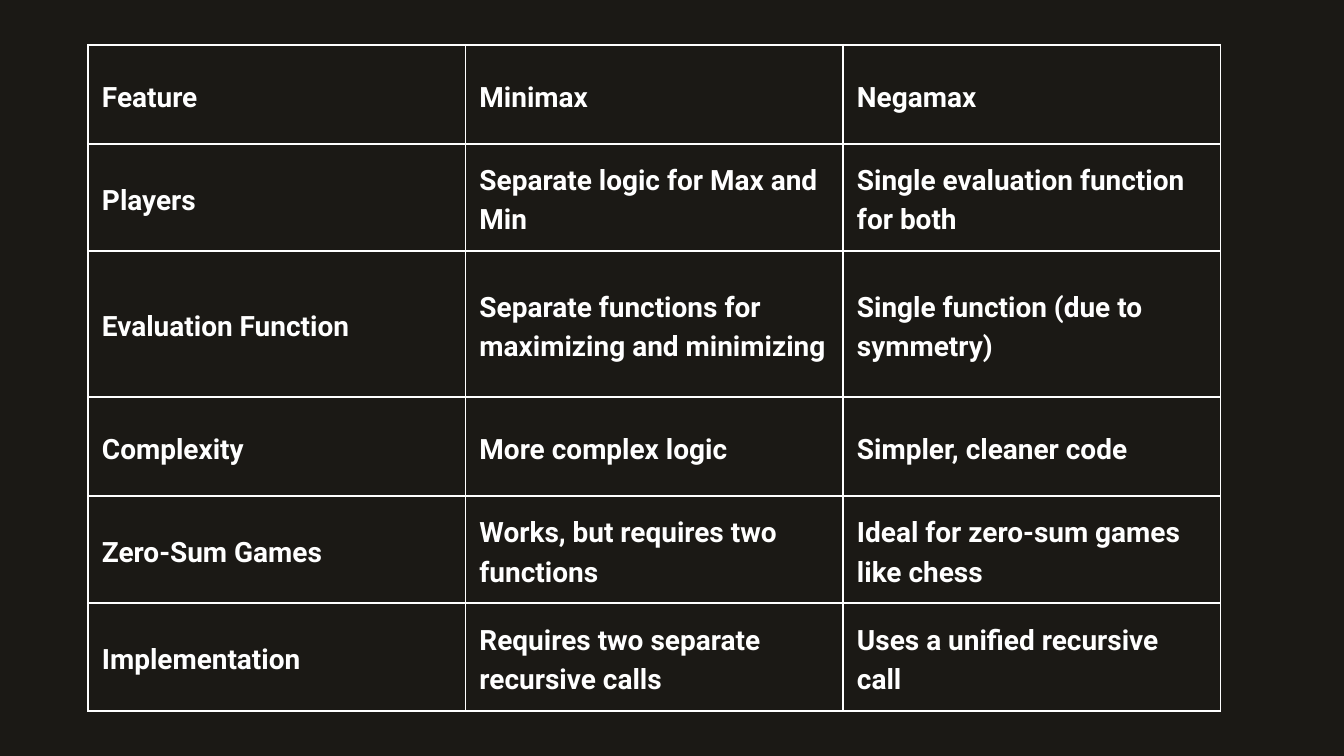
"""Build a slide with a table comparing Minimax and Negamax."""
from dataclasses import dataclass

from lxml.etree import SubElement
from pptx import Presentation
from pptx.dml.color import RGBColor as RGB
from pptx.enum.text import MSO_ANCHOR as Anchor
from pptx.oxml.ns import qn
from pptx.util import Pt

COMPARISON = [
    ("Feature", "Minimax", "Negamax"),
    ("Players", "Separate logic for Max and Min", "Single evaluation function for both"),
    ("Evaluation Function", "Separate functions for maximizing and minimizing",
     "Single function (due to symmetry)"),
    ("Complexity", "More complex logic", "Simpler, cleaner code"),
    ("Zero-Sum Games", "Works, but requires two functions", "Ideal for zero-sum games like chess"),
    ("Implementation", "Requires two separate recursive calls", "Uses a unified recursive call"),
]
ROW_HEIGHTS = [106, 115, 156.5, 106, 115, 115]
COLUMN_WIDTH = 404.5
LEFT, TOP = 94.25, 48


@dataclass(frozen=True)
class Theme:
    """Colours, type and spacing of the slide."""
    background: str = "1B1915"
    foreground: str = "FFFFFF"
    font: str = "Roboto"
    size: float = 30
    leading: float = 42
    inset: float = 15
    border: float = 2.25


THEME = Theme()


def draw_borders(cell):
    """Outline all four sides of a cell."""
    properties = cell._tc.get_or_add_tcPr()
    for position, side in enumerate(("lnL", "lnR", "lnT", "lnB")):
        border = SubElement(properties, qn(f"a:{side}"), w=str(Pt(THEME.border)))
        fill = SubElement(border, qn("a:solidFill"))
        SubElement(fill, qn("a:srgbClr"), val=THEME.foreground)
        properties.insert(position, border)


def fill_cell(cell, wording):
    """Write and format one table cell."""
    cell.fill.background()
    draw_borders(cell)
    cell.vertical_anchor = Anchor.MIDDLE
    cell.margin_left = cell.margin_right = Pt(THEME.inset)
    cell.margin_top = cell.margin_bottom = Pt(THEME.inset)
    cell.text_frame.text = wording
    paragraph = cell.text_frame.paragraphs[0]
    paragraph.line_spacing = Pt(THEME.leading)
    font = paragraph.runs[0].font
    font.name, font.size, font.bold = THEME.font, Pt(THEME.size), True
    font.color.rgb = RGB.from_string(THEME.foreground)


def main():
    """Build and save the slide."""
    deck = Presentation()
    deck.slide_width, deck.slide_height = Pt(1440), Pt(810)
    slide = deck.slides.add_slide(deck.slide_layouts[6])
    slide.background.fill.solid()
    slide.background.fill.fore_color.rgb = RGB.from_string(THEME.background)

    column_count = len(COMPARISON[0])
    table = slide.shapes.add_table(
        len(COMPARISON), column_count, Pt(LEFT), Pt(TOP),
        Pt(COLUMN_WIDTH * column_count), Pt(sum(ROW_HEIGHTS))).table
    table.first_row = table.horz_banding = False
    for column in table.columns:
        column.width = Pt(COLUMN_WIDTH)
    for row, height, wordings in zip(table.rows, ROW_HEIGHTS, COMPARISON):
        row.height = Pt(height)
        for cell, wording in zip(row.cells, wordings):
            fill_cell(cell, wording)
    deck.save("out.pptx")


if __name__ == "__main__":
    main()
